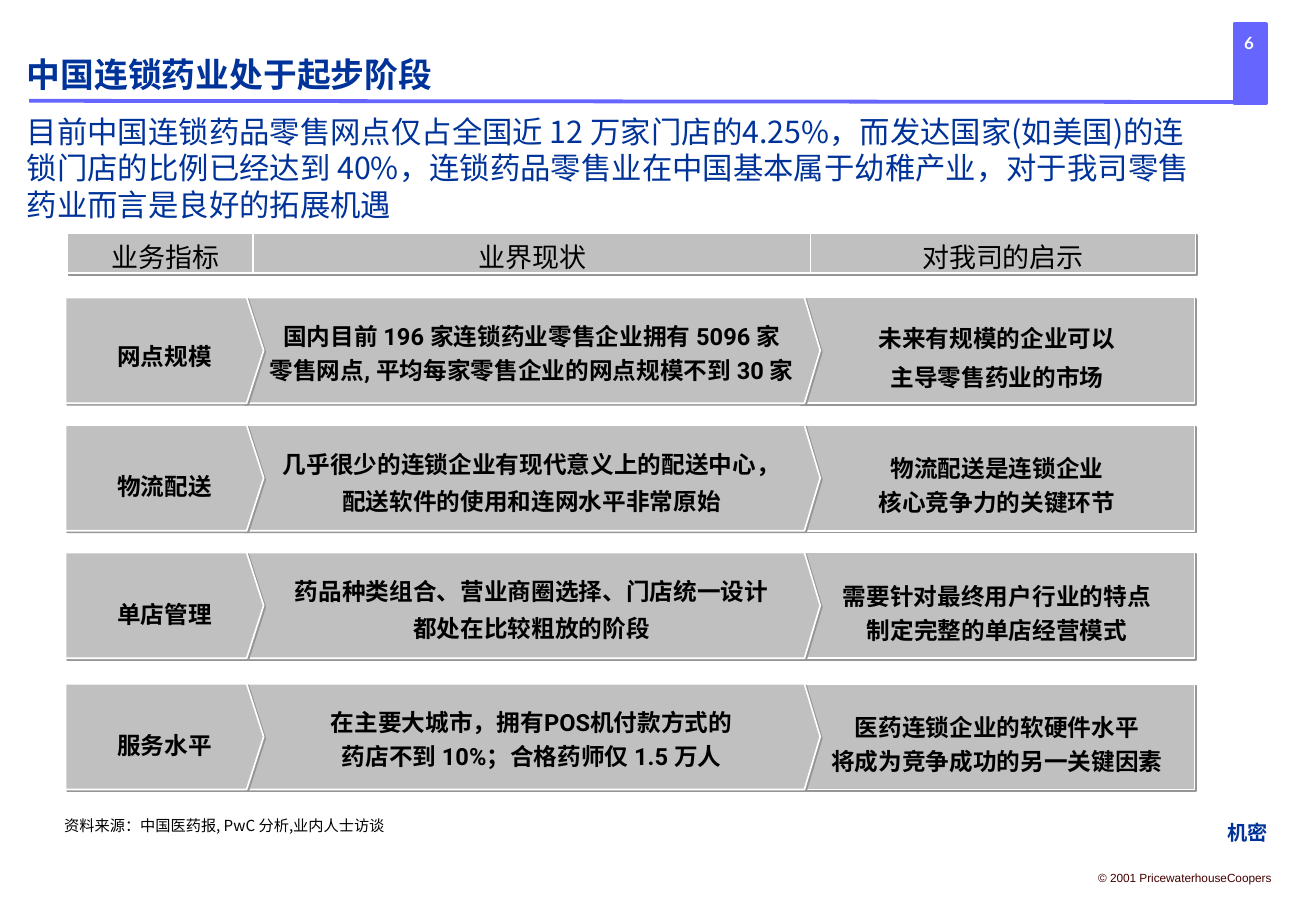
from lxml import etree
from pptx import Presentation
from pptx.dml.color import RGBColor
from pptx.enum.shapes import MSO_CONNECTOR, MSO_SHAPE
from pptx.enum.text import MSO_ANCHOR as ANCHOR, MSO_AUTO_SIZE, PP_ALIGN as ALIGN
from pptx.oxml.ns import qn
from pptx.util import Inches, Pt

COLOURS = {
    "accent": "6666FF", "navy": "003399", "grey": "C0C0C0", "shadow": "969696",
    "white": "FFFFFF", "black": "000000", "maroon": "440000",
}
CHINESE = "Noto Sans CJK SC"
PADDING = (0.1, 0.05, 0.1, 0.05)
NO_PADDING = (0, 0, 0, 0)
HEADERS = [(0.55, 1.62, "业务指标"), (2.08, 4.6, "业界现状"), (6.67, 3.17, "对我司的启示")]
# left, width, depth of the arrow point, top padding
COLUMNS = [(0.54, 1.63, 0.14, 0.05), (2, 4.75, 0.13, 0.05), (6.58, 3.25, 0, 0.12)]
# top, then for each column its lines and their line spacings
ROWS = [
    (2.45, [
        (["网点规模"], [1.4]),
        (["国内目前 196 家连锁药业零售企业拥有 5096 家",
          "零售网点, 平均每家零售企业的网点规模不到 30 家"], [1.2, 1.2]),
        (["未来有规模的企业可以", "主导零售药业的市场"], [1.2, 1.4])]),
    (3.5, [
        (["物流配送"], [1.6]),
        (["几乎很少的连锁企业有现代意义上的配送中心，",
          "配送软件的使用和连网水平非常原始"], [1.3, 1.3]),
        (["物流配送是连锁企业", "核心竞争力的关键环节"], [1.2, 1.2])]),
    (4.55, [
        (["单店管理"], [1.6]),
        (["药品种类组合、营业商圈选择、门店统一设计",
          "都处在比较粗放的阶段"], [1.3, 1.3]),
        (["需要针对最终用户行业的特点", "制定完整的单店经营模式"], [1.2, 1.2])]),
    (5.63, [
        (["服务水平"], [1.6]),
        (["在主要大城市，拥有POS机付款方式的",
          "药店不到 10%；合格药师仅 1.5 万人"], [1.2, 1.2]),
        (["医药连锁企业的软硬件水平", "将成为竞争成功的另一关键因素"], [1.2, 1.2])]),
]


def colour(name):
    return RGBColor.from_string(COLOURS[name])


def write(shape, lines, size, font="Roboto", ink="black", bold=False, align=ALIGN.CENTER,
          anchor=ANCHOR.MIDDLE, padding=PADDING, wrap=False, spacings=None):
    frame = shape.text_frame
    frame.auto_size = MSO_AUTO_SIZE.NONE
    frame.word_wrap = wrap
    frame.vertical_anchor = anchor
    frame.margin_left, frame.margin_top, frame.margin_right, frame.margin_bottom = map(
        Inches, padding)
    for index, line in enumerate(lines):
        para = frame.add_paragraph() if index else frame.paragraphs[0]
        para.text = line
        para.alignment = align
        para.space_before = Pt(0)
        para.line_spacing = spacings[index] if spacings else 1.0
        para.font.size = Pt(size)
        para.font.bold = bold
        para.font.color.rgb = colour(ink)
        para.font.name = font
        latin = para._p.pPr.find(qn("a:defRPr")).find(qn("a:latin"))
        east_asian = etree.Element(qn("a:ea"), typeface=CHINESE)
        latin.addnext(east_asian)


def add_text(page, box, text, size, **style):
    write(page.shapes.add_textbox(*map(Inches, box)), [text], size, **style)


def style_panel(shape):
    """Grey fill, white edge and a hard shadow to the lower right."""
    shape.fill.solid()
    shape.fill.fore_color.rgb = colour("grey")
    shape.line.color.rgb = colour("white")
    shape.line.width = Pt(1)
    shape.shadow.inherit = False
    effects = shape._element.spPr.find(qn("a:effectLst"))
    shadow = etree.SubElement(effects, qn("a:outerShdw"), blurRad="0", dist=str(Pt(1.4)),
                              dir="2700000", algn="ctr", rotWithShape="0")
    etree.SubElement(shadow, qn("a:srgbClr"), val=COLOURS["shadow"])


def add_page_frame(page):
    """Rule, page number tab, and the notes at the lower right."""
    tab = page.shapes.add_shape(MSO_SHAPE.RECTANGLE, *map(Inches, (10.16, 0.2, 0.26, 0.65)))
    tab.fill.solid()
    tab.fill.fore_color.rgb = colour("accent")
    tab.shadow.inherit = False
    rule = page.shapes.add_connector(MSO_CONNECTOR.STRAIGHT,
                                     *map(Inches, (0.24, 0.83, 10.28, 0.84)))
    etree.SubElement(rule._element.spPr, qn("a:effectLst"))
    for shape in (tab, rule):
        shape.line.color.rgb = colour("accent")
        shape.line.width = Pt(2.25)
    add_text(page, (9.93, 0.25, 0.7, 0.2), "6", 10, font="Lato", ink="white", bold=True,
             padding=NO_PADDING)
    add_text(page, (8.94, 7.12, 1.62, 0.22), "© 2001 PricewaterhouseCoopers", 7,
             font="Arial", ink="maroon")
    add_text(page, (10, 6.7, 0.53, 0.3), "机密", 12, font="Arial", ink="navy", bold=True)


def add_headings(page, left, width):
    style = dict(font=CHINESE, ink="navy", align=ALIGN.LEFT, anchor=ANCHOR.BOTTOM,
                 padding=NO_PADDING, wrap=True)
    add_text(page, (left, 0.18, width, 0.6), "中国连锁药业处于起步阶段", 20, bold=True, **style)
    title = page.shapes.title
    title.left, title.top, title.width, title.height = map(Inches, (left, 0.98, width, 0.85))
    write(title, ["目前中国连锁药品零售网点仅占全国近 12 万家门店的4.25%，而发达国家(如美国)"
                  "的连锁门店的比例已经达到 40%，连锁药品零售业在中国基本属于幼稚产业，"
                  "对于我司零售药业而言是良好的拓展机遇"], 18, **style)


def add_header_row(page, top, height):
    for left, width, text in HEADERS:
        cell = page.shapes.add_shape(MSO_SHAPE.RECTANGLE,
                                     *map(Inches, (left, top, width, height)))
        style_panel(cell)
        write(cell, [text], 16, spacings=[1.2])


def add_arrow_row(page, top, height, cells):
    """Panels from right to left, so that each point overlaps the next panel."""
    for (left, width, point, inset), (lines, spacings) in reversed(list(zip(COLUMNS, cells))):
        right, bottom = left + width, top + height
        outline = [(right - point, top), (right, top + height / 2),
                   (right - point, bottom), (left, bottom)]
        builder = page.shapes.build_freeform(Inches(left), Inches(top))
        builder.add_line_segments([(Inches(x), Inches(y)) for x, y in outline])
        panel = builder.convert_to_shape()
        style_panel(panel)
        write(panel, lines, 14, bold=True, padding=(0.1, inset, 0.1, 0.05), spacings=spacings)


def main():
    deck = Presentation()
    deck.slide_width, deck.slide_height = Inches(10.83), Inches(7.5)
    page = deck.slides.add_slide(deck.slide_layouts[5])
    add_page_frame(page)
    add_headings(page, 0.22, 9.71)
    for top, cells in ROWS:
        add_arrow_row(page, top, 0.87, cells)
    add_header_row(page, 1.92, 0.33)
    add_text(page, (0.43, 6.67, 3.65, 0.25), "资料来源：中国医药报, PwC 分析,业内人士访谈", 9,
             font=CHINESE, align=ALIGN.LEFT, anchor=ANCHOR.TOP, wrap=True)
    deck.save("out.pptx")


if __name__ == "__main__":
    main()
